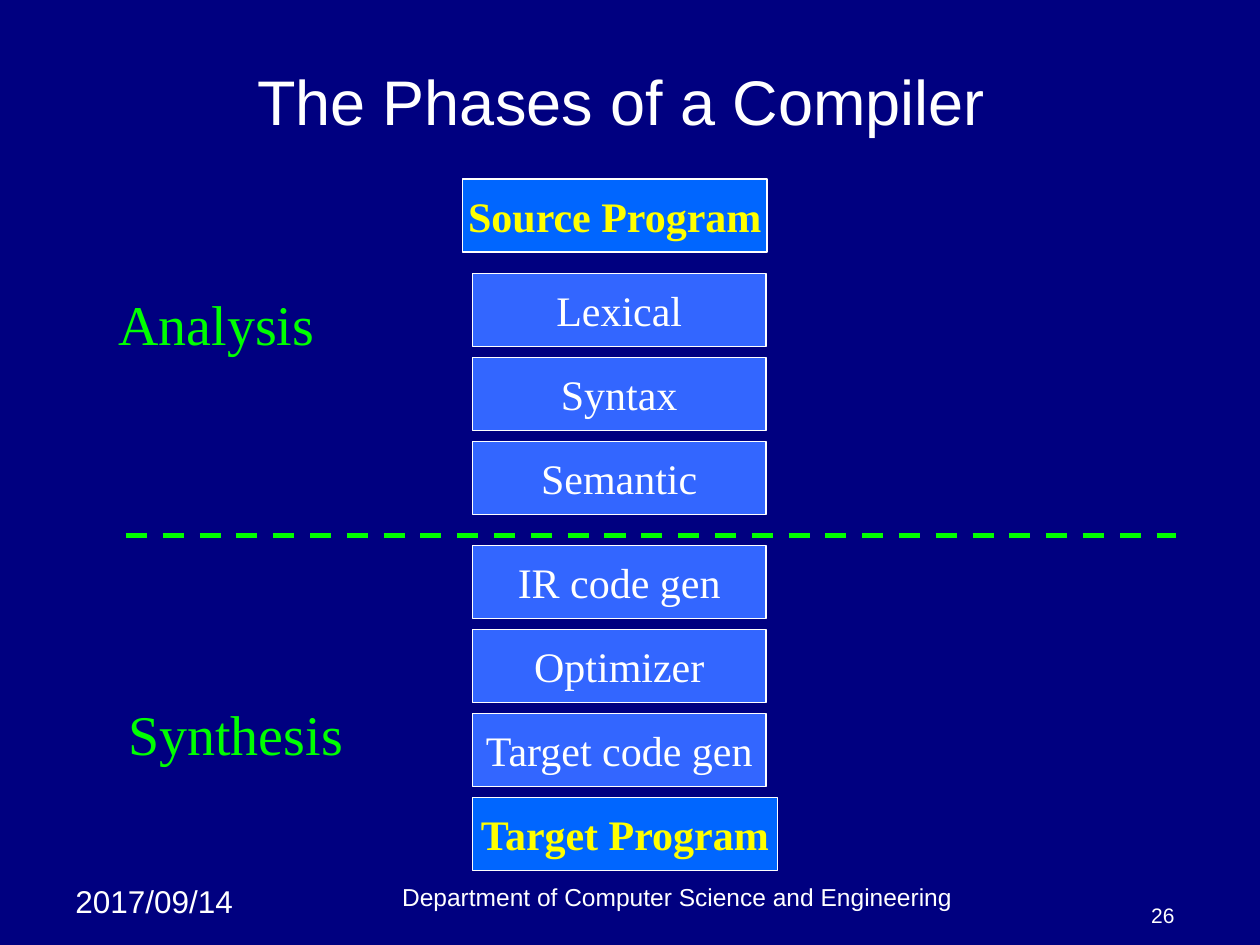
from lxml import etree
from pptx import Presentation
from pptx import util as u
from pptx.dml.color import RGBColor
from pptx.enum import dml, shapes, text
from pptx.oxml.ns import qn

SANS, SERIF = "Arial", "Times New Roman"
WHITE, GREEN, YELLOW = "FFFFFF", "00FF00", "FFFF00"
NAVY, PHASE_BLUE, PROGRAM_BLUE = "000080", "3366FF", "0066FF"
LEFT, CENTER, RIGHT = text.PP_ALIGN.LEFT, text.PP_ALIGN.CENTER, text.PP_ALIGN.RIGHT
TOP, MIDDLE, BOTTOM = text.MSO_ANCHOR.TOP, text.MSO_ANCHOR.MIDDLE, text.MSO_ANCHOR.BOTTOM

BOX_LEFT, PHASE_WIDTH, PROGRAM_WIDTH, BOX_HEIGHT = 3.75, 2.33, 2.42, 0.58
PHASE_STEP = 2 / 3


def color(hex_string):
    return RGBColor.from_string(hex_string)


def write(shape, words, align=LEFT, anchor=TOP, wrap=True, **font_values):
    """Put one paragraph in a shape; font_values are font attributes."""
    frame = shape.text_frame
    frame.word_wrap = wrap
    frame.vertical_anchor = anchor
    paragraph = frame.paragraphs[0]
    paragraph.text = words
    paragraph.alignment = align
    font = paragraph.runs[0].font
    font.color.rgb = color(font_values.pop("fill", WHITE))
    font.size = u.Pt(font_values.pop("points"))
    for name, value in font_values.items():
        setattr(font, name, value)


def add_text(slide, words, bounds, **format_values):
    shape = slide.shapes.add_textbox(*map(u.Inches, bounds))
    write(shape, words, **format_values)


def add_box(slide, words, left, top, width, box_fill, **font_values):
    shape = slide.shapes.add_shape(
        shapes.MSO_SHAPE.RECTANGLE,
        *map(u.Inches, (left, top, width, BOX_HEIGHT)))
    shape.shadow.inherit = False
    shape.fill.solid()
    shape.fill.fore_color.rgb = color(box_fill)
    shape.line.color.rgb = color(WHITE)
    shape.line.width = u.Pt(1)
    write(shape, words, align=CENTER, anchor=MIDDLE, wrap=False,
          points=24, name=SERIF, **font_values)


def add_program(slide, words, left, top):
    add_box(slide, words, left, top, PROGRAM_WIDTH, PROGRAM_BLUE,
            fill=YELLOW, bold=True)


def add_phases(slide, names, first_top):
    for index, name in enumerate(names):
        add_box(slide, name, BOX_LEFT, first_top + index * PHASE_STEP,
                PHASE_WIDTH, PHASE_BLUE)


def add_divider(slide, left, right, y):
    line = slide.shapes.add_connector(
        shapes.MSO_CONNECTOR.STRAIGHT, *map(u.Inches, (left, y, right, y)))
    line.line.color.rgb = color(GREEN)
    line.line.width = u.Pt(3)
    line.line.dash_style = dml.MSO_LINE.DASH
    etree.SubElement(line._element.spPr, qn("a:effectLst"))


def main():
    presentation = Presentation()
    presentation.slide_width = u.Inches(10)
    presentation.slide_height = u.Inches(7.5)
    slide = presentation.slides.add_slide(presentation.slide_layouts[6])
    slide.background.fill.solid()
    slide.background.fill.fore_color.rgb = color(NAVY)

    add_text(slide, "2017/09/14", (0.5, 6.95, 1.58, 0.4), points=18, name=SANS)
    add_text(slide, "Department of Computer Science and Engineering",
             (2, 6.95, 6.75, 0.33), align=CENTER, anchor=BOTTOM,
             points=14, name=SANS)
    add_text(slide, "26", (8.75, 7.08, 0.67, 0.33), align=RIGHT, anchor=BOTTOM,
             points=12, name=SANS)
    add_text(slide, "The Phases of a Compiler ", (0.75, 0.38, 8.5, 0.83),
             align=CENTER, anchor=MIDDLE, points=36, name=SANS)

    add_program(slide, "Source Program", 3.67, 1.42)
    add_phases(slide, ("Lexical", "Syntax", "Semantic"), 2.17)
    add_phases(slide, ("IR code gen", "Optimizer", "Target code gen"), 4.33)
    add_program(slide, "Target Program", BOX_LEFT, 6.33)

    stage_format = {"points": 32, "name": SERIF, "fill": GREEN}
    add_text(slide, "Analysis", (0.84, 2.25, 1.8, 0.64), **stage_format)
    add_text(slide, "Synthesis", (0.92, 5.5, 2, 0.64), **stage_format)
    add_divider(slide, 1, 9.33, 4.25)

    presentation.save("out.pptx")


if __name__ == "__main__":
    main()
